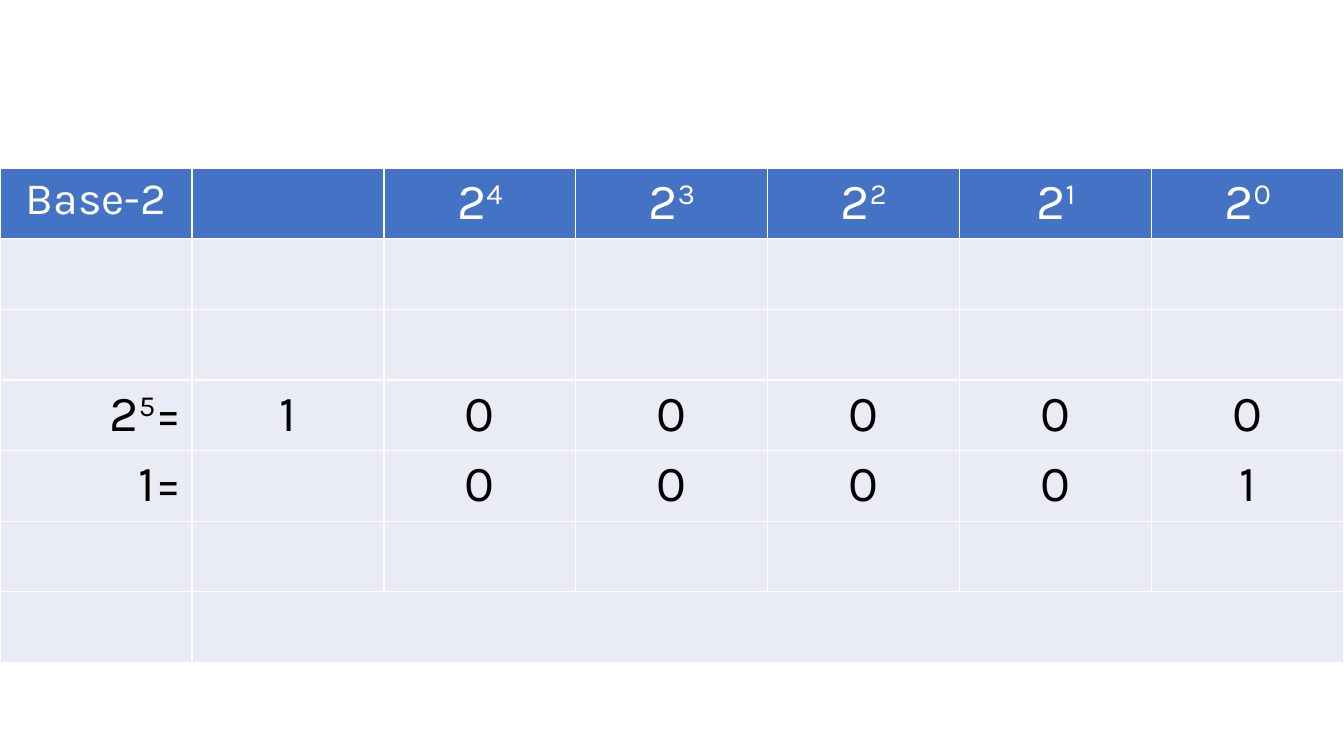
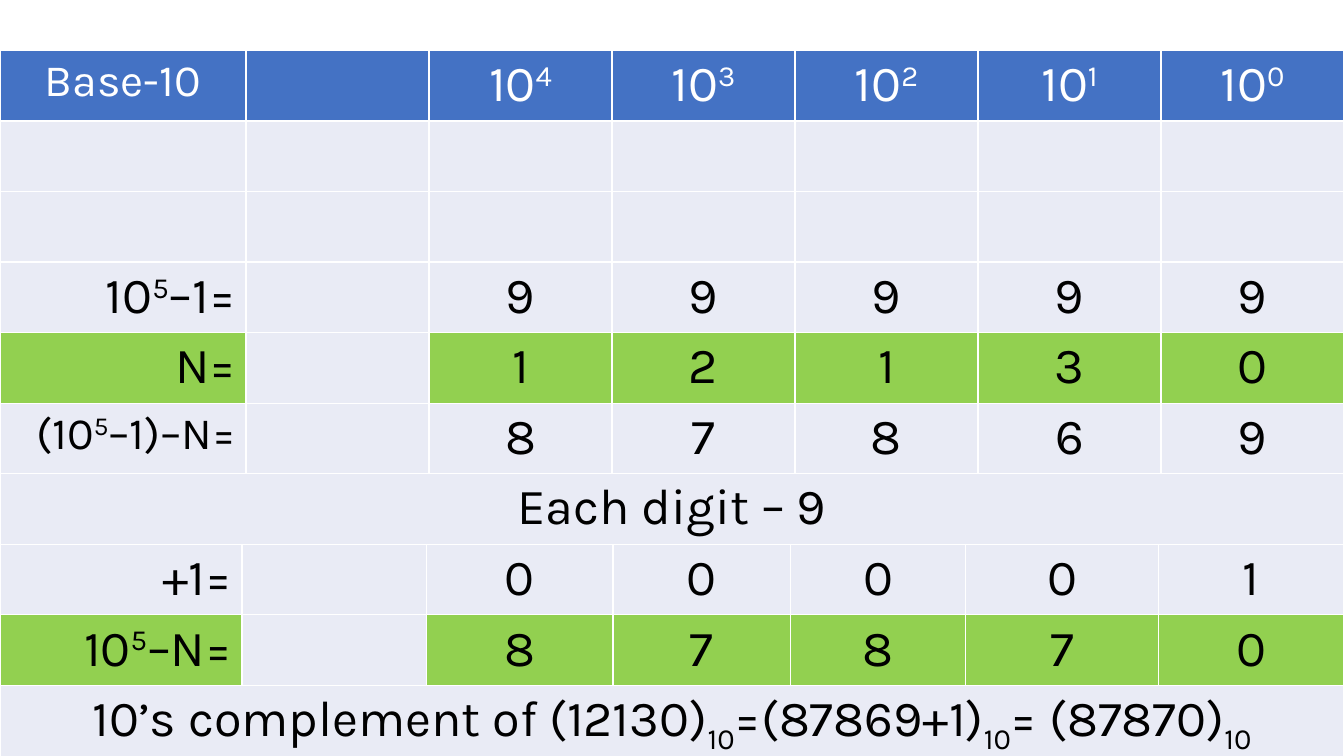
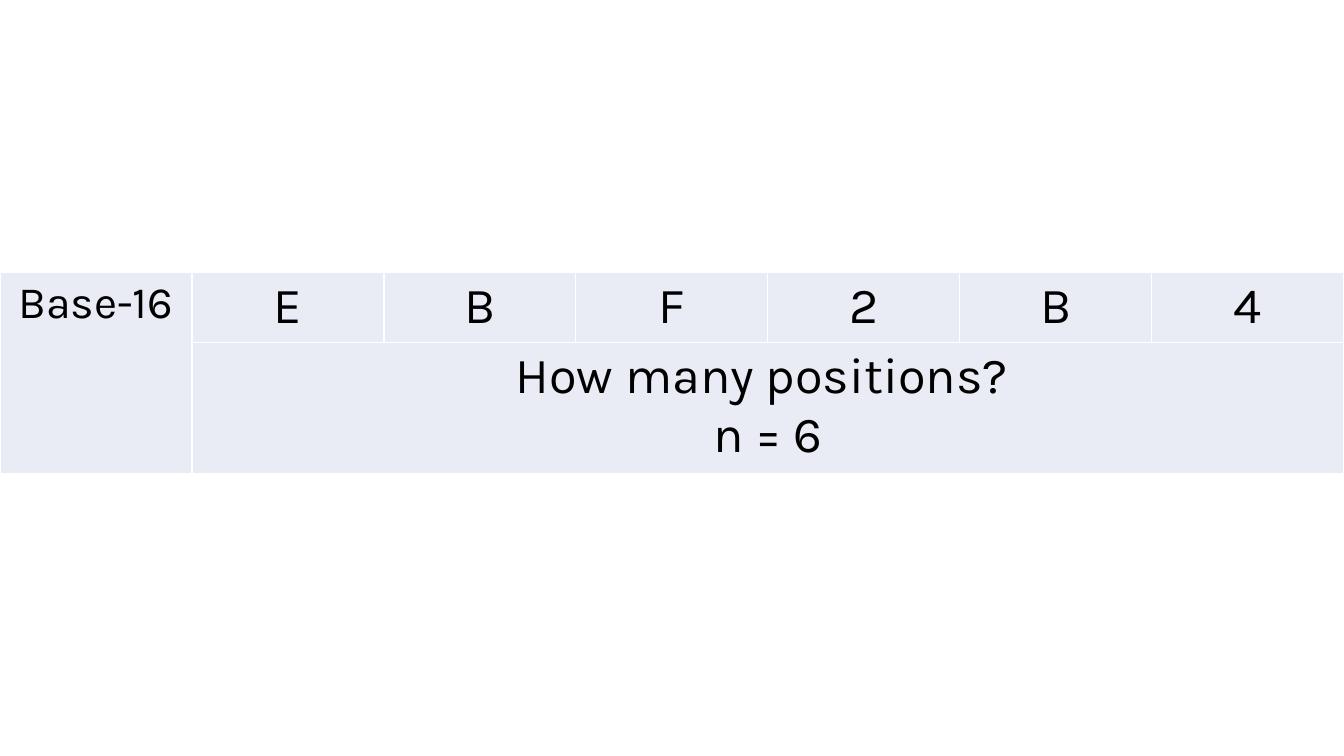
"""Builds three slides of positional number tables in base 2, 10 and 16."""
from dataclasses import dataclass

from lxml.etree import SubElement
from pptx import Presentation
from pptx.dml.color import RGBColor as Color
from pptx.enum.text import PP_ALIGN as Align
from pptx.oxml.ns import qn
from pptx.util import Inches, Pt


@dataclass(frozen=True)
class Theme:
    font: str = "Karla"
    digit_size: int = 36
    label_size: int = 32
    white: str = "FFFFFF"
    black: str = "000000"
    header: str = "4472C4"
    pale: str = "E9EBF5"
    green: str = "92D050"
    border: int = 1


theme = Theme()
WIDTH, HEIGHT, ROW = 13.33, 7.5, 0.7
BASELINES = {"^": "30000", "_": "-25000"}
EVEN = [WIDTH / 7] * 7
EMPTY = (theme.pale, [""] * 7)


def fill_cell(cell, text, fill):
    """Style one cell; "|" parts its runs, "^" raises and "_" lowers one."""
    properties = cell._tc.get_or_add_tcPr()
    for side in ("lnL", "lnR", "lnT", "lnB"):
        line = SubElement(properties, qn(f"a:{side}"), w=str(Pt(theme.border)))
        SubElement(SubElement(line, qn("a:solidFill")), qn("a:srgbClr"), val=theme.white)
    cell.fill.solid()
    cell.fill.fore_color.rgb = Color.from_string(fill)
    if not text:
        return
    small = text.startswith(("Base", "("))
    ink = theme.white if fill == theme.header else theme.black
    font_format = {
        "name": theme.font,
        "size": Pt(theme.label_size if small else theme.digit_size),
        "bold": False,
    }
    for index, line_text in enumerate(text.split("\n")):
        frame = cell.text_frame
        para = frame.add_paragraph() if index else frame.paragraphs[0]
        para.alignment = Align.RIGHT if text.endswith("=") else Align.CENTER
        for part in line_text.split("|"):
            span = para.add_run()
            span.text = part.lstrip("^_")
            for name, value in font_format.items():
                setattr(span.font, name, value)
            span.font.color.rgb = Color.from_string(ink)
            if part[0] in BASELINES:
                span.font._element.set("baseline", BASELINES[part[0]])


def add_number_table(page, top, widths, heights, rows):
    """Add a full-width table; the last cell of a short row spans the rest."""
    table = page.shapes.add_table(
        len(rows), len(widths), 0, Inches(top), Inches(WIDTH), Inches(sum(heights))
    ).table
    table.first_row = table.horz_banding = False
    for column, width in zip(table.columns, widths):
        column.width = Inches(width)
    for row, height in zip(table.rows, heights):
        row.height = Inches(height)
    for r, (fill, texts) in enumerate(rows):
        last = len(texts) - 1
        for c in range(len(widths)):
            text = texts[c] if c <= last else ""
            marked = text or fill == theme.header
            fill_cell(table.cell(r, c), text, fill if marked else theme.pale)
        if last < len(widths) - 1:
            table.cell(r, last).merge(table.cell(r, len(widths) - 1))
    return table


deck = Presentation()
deck.slide_width, deck.slide_height = Inches(WIDTH), Inches(HEIGHT)
binary_page, decimal_page, hex_page = (
    deck.slides.add_slide(deck.slide_layouts[6]) for _ in range(3)
)

binary_rows = [
    (theme.header, ["Base-2", "", *(f"2|^{power}" for power in range(4, -1, -1))]),
    EMPTY,
    EMPTY,
    (theme.pale, ["2|^5|=", *"100000"]),
    (theme.pale, ["1=", "", *"00001"]),
    EMPTY,
    (theme.pale, ["", ""]),
]
add_number_table(binary_page, 1.67, EVEN, [ROW] * 7, binary_rows)

decimal_rows = [
    (theme.header, ["Base-10", "", *(f"10|^{power}" for power in range(4, -1, -1))]),
    EMPTY,
    EMPTY,
    (theme.pale, ["10|^5|–1=", "", *"99999"]),
    (theme.green, ["N=", "", *"12130"]),
    (theme.pale, ["(10|^5|–1)–N=", "", *"87869"]),
    (theme.pale, ["Each digit – 9"]),
]
label_width = 2.44
decimal_widths = [label_width] + [(WIDTH - label_width) / 6] * 6
add_number_table(decimal_page, 0.5, decimal_widths, [ROW] * 7, decimal_rows)

complement_rows = [
    (theme.pale, ["+1=", "", *"00001"]),
    (theme.green, ["10|^5|–N=", "", *"87870"]),
    (theme.pale, ["10’s complement of (12130)|_10|=(87869+1)|_10|= (87870)|_10"]),
]
complement_widths = [2.4, 1.83, 1.85, 1.76, 1.74, 1.91, 1.84]
add_number_table(decimal_page, 5.4, complement_widths, [ROW] * 3, complement_rows)

hex_rows = [
    (theme.pale, ["Base-16", *"EBF2B4"]),
    (theme.pale, ["", "How many positions? \nn = 6"]),
]
hex_table = add_number_table(hex_page, 2.7, EVEN, [ROW, 1.3], hex_rows)
hex_table.cell(0, 0).merge(hex_table.cell(1, 0))

deck.save("out.pptx")
